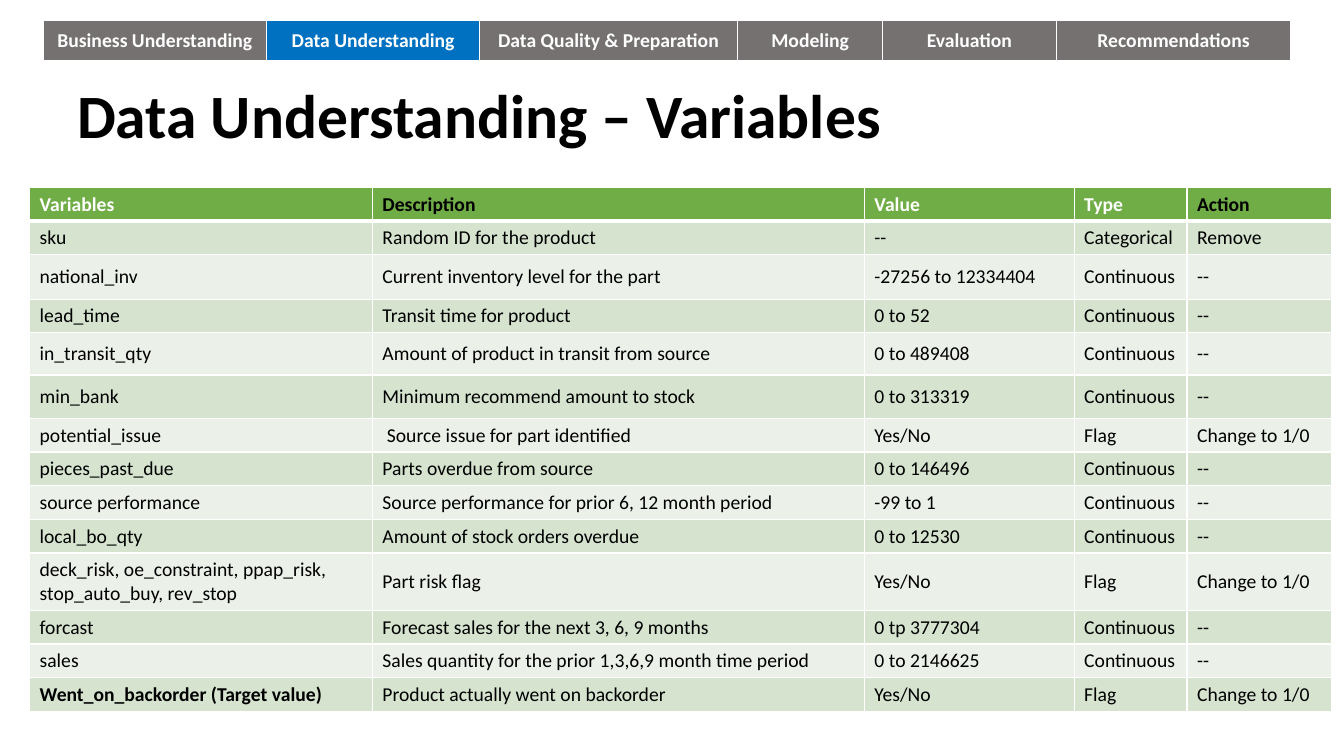
"""Build the data understanding slide: a stage bar, a title and a table of variables."""
from dataclasses import dataclass

from lxml import etree
from pptx import Presentation
from pptx import util as u
from pptx.dml.color import RGBColor
from pptx.enum import text
from pptx.oxml import ns

STAGES = ["Business Understanding", "Data Understanding", "Data Quality & Preparation",
          "Modeling", "Evaluation", "Recommendations"]
CURRENT_STAGE = "Data Understanding"
TITLE = "Data Understanding – Variables"
HEADINGS = ("Variables", "Description", "Value", "Type", "Action")
DARK_HEADINGS = ("Description", "Action")
TARGET = "Went_on_backorder (Target value)"
VARIABLES = [
    ("sku", "Random ID for the product", "--", "Categorical", "Remove"),
    ("national_inv", "Current inventory level for the part", "-27256 to 12334404", "Continuous", "--"),
    ("lead_time", "Transit time for product", "0 to 52", "Continuous", "--"),
    ("in_transit_qty", "Amount of product in transit from source", "0 to 489408", "Continuous", "--"),
    ("min_bank", "Minimum recommend amount to stock", "0 to 313319", "Continuous", "--"),
    ("potential_issue", " Source issue for part identified", "Yes/No", "Flag", "Change to 1/0"),
    ("pieces_past_due", "Parts overdue from source", "0 to 146496", "Continuous", "--"),
    ("source performance", "Source performance for prior 6, 12 month period", "-99 to 1", "Continuous", "--"),
    ("local_bo_qty", "Amount of stock orders overdue", "0 to 12530", "Continuous", "--"),
    ("deck_risk, oe_constraint, ppap_risk, stop_auto_buy, rev_stop", "Part risk flag",
     "Yes/No", "Flag", "Change to 1/0"),
    ("forcast", "Forecast sales for the next 3, 6, 9 months", "0 tp 3777304", "Continuous", "--"),
    ("sales", "Sales quantity for the prior 1,3,6,9 month time period", "0 to 2146625", "Continuous", "--"),
    (TARGET, "Product actually went on backorder", "Yes/No", "Flag", "Change to 1/0"),
]

SLIDE_SIZE = (13.33, 7.5)
STAGE_ORIGIN = (0.032, 0.027)
STAGE_COLUMNS = (2.22, 2.11, 2.56, 1.44, 1.72, 2.33)
STAGE_ROWS = (0.41,)
TITLE_BOX = (0.05, 0.085, 0.892, 0.144)
VARIABLE_ORIGIN = (0.022, 0.248)
VARIABLE_COLUMNS = (3.4, 4.88, 2.08, 1.12, 1.43)
BASE_ROW = 0.33
TALL_ROWS = {2: 0.44, 4: 0.42, 5: 0.43, 10: 0.57}


@dataclass(frozen=True)
class Theme:
    """Colours, font and sizes of the slide."""
    font: str = "Calibri"
    title_size: int = 44
    body_size: int = 14
    light: str = "FFFFFF"
    dark: str = "000000"
    stage: str = "767171"
    current: str = "0070C0"
    heading: str = "70AD47"
    bands: tuple = ("EBF1E9", "D5E3CF")
    rule: int = 1
    heading_rule: int = 3


THEME = Theme()


def share(fractions):
    """Turn shares of the slide's width and height into lengths."""
    return [u.Inches(part * SLIDE_SIZE[i % 2]) for i, part in enumerate(fractions)]


def write(frame, words, size, color, bold, **paragraph_format):
    """Write one formatted paragraph in a text frame."""
    paragraph = frame.paragraphs[0]
    for name, value in paragraph_format.items():
        setattr(paragraph, name, value)
    run = paragraph.add_run()
    run.text = words
    for name, value in {"name": THEME.font, "size": u.Pt(size), "bold": bold}.items():
        setattr(run.font, name, value)
    run.font.color.rgb = RGBColor.from_string(color)


def draw_borders(cell, bottom):
    """Rule the four sides of a cell."""
    properties = cell._tc.get_or_add_tcPr()
    widths = {"lnL": THEME.rule, "lnR": THEME.rule, "lnT": THEME.rule, "lnB": bottom}
    for i, (side, width) in enumerate(widths.items()):
        line = etree.Element(ns.qn(f"a:{side}"), w=str(u.Pt(width)))
        fill = etree.SubElement(line, ns.qn("a:solidFill"))
        etree.SubElement(fill, ns.qn("a:srgbClr"), val=THEME.light)
        properties.insert(i, line)


def add_grid(slide, origin, columns, rows):
    """Add a table with the given column widths and row heights."""
    size = u.Inches(sum(columns)), u.Inches(sum(rows))
    table = slide.shapes.add_table(len(rows), len(columns), *share(origin), *size).table
    table.horz_banding = False
    for column, width in zip(table.columns, columns):
        column.width = u.Inches(width)
    for row, height in zip(table.rows, rows):
        row.height = u.Inches(height)
    return table


def fill_cell(cell, words, fill, color, bold, bottom=THEME.rule,
              anchor=text.MSO_ANCHOR.MIDDLE, **paragraph_format):
    """Give a cell its words, fill and borders."""
    cell.fill.solid()
    cell.fill.fore_color.rgb = RGBColor.from_string(fill)
    cell.vertical_anchor = anchor
    draw_borders(cell, bottom)
    write(cell.text_frame, words, THEME.body_size, color, bold, **paragraph_format)


def add_stages(slide):
    """Add the bar of project stages."""
    table = add_grid(slide, STAGE_ORIGIN, STAGE_COLUMNS, STAGE_ROWS)
    for i, stage in enumerate(STAGES):
        fill = THEME.current if stage == CURRENT_STAGE else THEME.stage
        fill_cell(table.cell(0, i), stage, fill, THEME.light, True,
                  bottom=THEME.heading_rule, alignment=text.PP_ALIGN.CENTER)


def add_title(slide):
    """Add the slide title."""
    frame = slide.shapes.add_textbox(*share(TITLE_BOX)).text_frame
    frame.word_wrap = True
    frame.vertical_anchor = text.MSO_ANCHOR.MIDDLE
    write(frame, TITLE, THEME.title_size, THEME.dark, True, line_spacing=0.9)


def add_variables(slide):
    """Add the table of variables."""
    rows = [TALL_ROWS.get(i, BASE_ROW) for i in range(len(VARIABLES) + 1)]
    table = add_grid(slide, VARIABLE_ORIGIN, VARIABLE_COLUMNS, rows)
    for i, heading in enumerate(HEADINGS):
        color = THEME.dark if heading in DARK_HEADINGS else THEME.light
        fill_cell(table.cell(0, i), heading, THEME.heading, color, True,
                  bottom=THEME.heading_rule, anchor=text.MSO_ANCHOR.TOP)
    for row, variable in enumerate(VARIABLES, start=1):
        for column, words in enumerate(variable):
            fill_cell(table.cell(row, column), words, THEME.bands[row % 2],
                      THEME.dark, words == TARGET)


def main():
    """Build and save the presentation."""
    presentation = Presentation()
    presentation.slide_width, presentation.slide_height = map(u.Inches, SLIDE_SIZE)
    slide = presentation.slides.add_slide(presentation.slide_layouts[6])
    add_stages(slide)
    add_title(slide)
    add_variables(slide)
    presentation.save("out.pptx")


if __name__ == "__main__":
    main()
